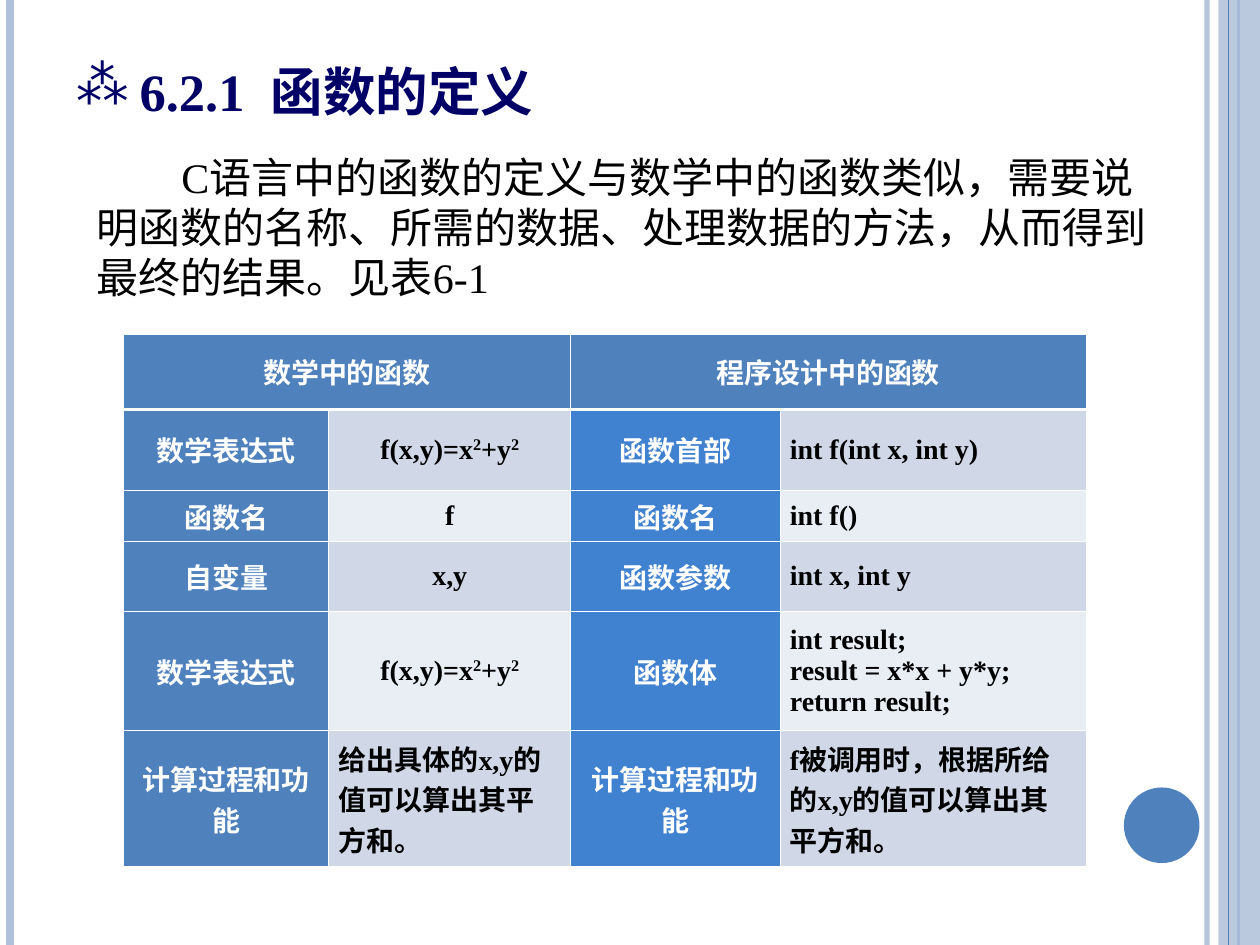
import dataclasses

import lxml.etree
import pptx
import pptx.dml.color
import pptx.enum.shapes
import pptx.enum.text
import pptx.oxml.ns
import pptx.util

Inches = pptx.util.Inches
Pt = pptx.util.Pt
qn = pptx.oxml.ns.qn
ALIGN = pptx.enum.text.PP_ALIGN
ANCHOR = pptx.enum.text.MSO_ANCHOR
SHAPE = pptx.enum.shapes.MSO_SHAPE


@dataclasses.dataclass(frozen=True)
class Theme:
    font: str = "Times New Roman"
    title_size: float = 30
    body_size: float = 24
    table_size: float = 16
    navy: str = "000066"
    black: str = "000000"
    white: str = "FFFFFF"
    blue: str = "4F81BD"
    bright: str = "4081D0"
    pale: str = "B2C1DB"
    band_dark: str = "D0D8E8"
    band_light: str = "E9EDF4"


THEME = Theme()

RAILS = [
    (9.58, THEME.pale, 3, 93),
    (0.08, THEME.pale, 4.5, 100),
    (9.83, THEME.blue, 1.5, 100),
]
INNER_RAIL = (9.75, THEME.blue, 0.75, 100)

COLUMN_WIDTHS = [1.63, 1.92, 1.66, 2.43]
ROW_HEIGHTS = [0.6, 0.64, 0.41, 0.55, 0.95, 1.08]
HEADINGS = ["数学中的函数", "程序设计中的函数"]
FORMULA = ["f(x,y)=x", "2", "+y", "2"]
COMPARISON = [
    ("数学表达式", [FORMULA], "函数首部", [["int f(int x, int y)"]]),
    ("函数名", [["f"]], "函数名", [["int f()"]]),
    ("自变量", [["x,y"]], "函数参数", [["int x, int y"]]),
    ("数学表达式", [FORMULA], "函数体",
     [["int result;"], ["result = x*x + y*y;"], ["return result;"]]),
    ("计算过程和功能", [["给出具体的x,y的值可以算出其平方和。"]],
     "计算过程和功能", [["f被调用时，根据所给的x,y的值可以算出其平方和。"]]),
]


def rgb(color):
    return pptx.dml.color.RGBColor.from_string(color)


def apply(target, values):
    for name, value in values.items():
        setattr(target, name, value)


def add_child(parent, tag, **attributes):
    return lxml.etree.SubElement(parent, qn(tag), attributes)


def set_opacity(element, percent):
    if percent < 100:
        for color in element.iter(qn("a:srgbClr")):
            add_child(color, "a:alpha", val=str(percent * 1000))


def add_run(paragraph, text, size, color, bold=False):
    run = paragraph.add_run()
    run.text = text
    apply(run.font, {"name": THEME.font, "size": Pt(size), "bold": bold})
    run.font.color.rgb = rgb(color)
    return run


def add_rail(slide, x, color, width, opacity):
    rail = slide.shapes.add_connector(
        pptx.enum.shapes.MSO_CONNECTOR.STRAIGHT,
        Inches(x), Inches(0), Inches(x), Inches(7.5))
    rail.line.color.rgb = rgb(color)
    rail.line.width = Pt(width)
    properties = rail._element.spPr
    set_opacity(properties, opacity)
    add_child(properties, "a:effectLst")


def add_block(slide, kind, bounds, color, opacity=100):
    block = slide.shapes.add_shape(kind, *map(Inches, bounds))
    block.shadow.inherit = False
    block.fill.solid()
    block.fill.fore_color.rgb = rgb(color)
    block.line.fill.background()
    set_opacity(block._element.spPr, opacity)


def add_text_frame(slide, bounds, **settings):
    frame = slide.shapes.add_textbox(*map(Inches, bounds)).text_frame
    apply(frame, {"word_wrap": True, **settings})
    return frame


def add_title(slide):
    frame = add_text_frame(
        slide, (0.51, 0.36, 4.57, 0.61), vertical_anchor=ANCHOR.BOTTOM,
        margin_top=0, margin_bottom=0)
    heading = frame.paragraphs[0]
    layout = heading._p.get_or_add_pPr()
    layout.set("marL", str(Inches(0.5)))
    layout.set("indent", str(Inches(-0.5)))
    add_child(add_child(layout, "a:buClr"), "a:srgbClr", val=THEME.navy)
    add_child(layout, "a:buChar", char="⁂")
    add_run(heading, "6.2.1  函数的定义", THEME.title_size, THEME.navy, True)


def add_introduction(slide):
    frame = add_text_frame(slide, (0.67, 1.15, 8.58, 1.3))
    introduction = frame.paragraphs[0]
    introduction._p.get_or_add_pPr().set("indent", str(Inches(0.67)))
    introduction.line_spacing = Pt(28.8)
    add_run(
        introduction,
        "C语言中的函数的定义与数学中的函数类似，需要说明函数的名称、"
        "所需的数据、处理数据的方法，从而得到最终的结果。见表6-1",
        THEME.body_size, THEME.black)


def set_borders(cell, row):
    widths = {"L": 0.45, "R": 0.45,
              "T": 1.47 if row == 1 else 0.45,
              "B": 1.47 if row == 0 else 0.45}
    properties = cell._tc.get_or_add_tcPr()
    for side, width in widths.items():
        border = add_child(properties, f"a:ln{side}", w=str(Pt(width)))
        add_child(add_child(border, "a:solidFill"), "a:srgbClr", val=THEME.white)


def style_cell(cell, row, fill):
    apply(cell, {"vertical_anchor": ANCHOR.MIDDLE,
                 "margin_left": Inches(0.08), "margin_right": Inches(0.08),
                 "margin_top": Inches(0.05), "margin_bottom": Inches(0.05)})
    set_borders(cell, row)
    cell.fill.solid()
    cell.fill.fore_color.rgb = rgb(fill)


def write_cell(cell, lines, color, align):
    frame = cell.text_frame
    for number, parts in enumerate(lines):
        line = frame.add_paragraph() if number else frame.paragraphs[0]
        line.alignment = align
        for position, part in enumerate(parts):
            run = add_run(line, part, THEME.table_size, color, True)
            if position % 2:
                run._r.get_or_add_rPr().set("baseline", "30000")


def add_comparison(slide):
    table = slide.shapes.add_table(
        len(ROW_HEIGHTS), len(COLUMN_WIDTHS), Inches(0.98), Inches(2.65),
        Inches(sum(COLUMN_WIDTHS)), Inches(sum(ROW_HEIGHTS))).table
    for column, width in zip(table.columns, COLUMN_WIDTHS):
        column.width = Inches(width)
    for row, height in zip(table.rows, ROW_HEIGHTS):
        row.height = Inches(height)

    for column in range(len(COLUMN_WIDTHS)):
        style_cell(table.cell(0, column), 0, THEME.blue)
    for number, heading in enumerate(HEADINGS):
        cell = table.cell(0, number * 2)
        cell.merge(table.cell(0, number * 2 + 1))
        write_cell(cell, [[heading]], THEME.white, ALIGN.CENTER)

    for row, (math_label, math_lines, code_label, code_lines) in enumerate(COMPARISON, 1):
        band = THEME.band_dark if row % 2 else THEME.band_light
        math_align = ALIGN.LEFT if row == len(COMPARISON) else ALIGN.CENTER
        entries = [
            ([[math_label]], THEME.blue, THEME.white, ALIGN.CENTER),
            (math_lines, band, THEME.black, math_align),
            ([[code_label]], THEME.bright, THEME.white, ALIGN.CENTER),
            (code_lines, band, THEME.black, ALIGN.LEFT),
        ]
        for column, (lines, fill, color, align) in enumerate(entries):
            cell = table.cell(row, column)
            style_cell(cell, row, fill)
            write_cell(cell, lines, color, align)


def main():
    deck = pptx.Presentation()
    deck.slide_width, deck.slide_height = Inches(10), Inches(7.5)
    slide = deck.slides.add_slide(deck.slide_layouts[6])
    for rail in RAILS:
        add_rail(slide, *rail)
    add_block(slide, SHAPE.RECTANGLE, (9.67, 0, 0.33, 7.5), THEME.pale, 87)
    add_rail(slide, *INNER_RAIL)
    add_block(slide, SHAPE.OVAL, (8.92, 6.25, 0.6, 0.6), THEME.blue)
    add_title(slide)
    add_introduction(slide)
    add_comparison(slide)
    deck.save("out.pptx")


if __name__ == "__main__":
    main()
